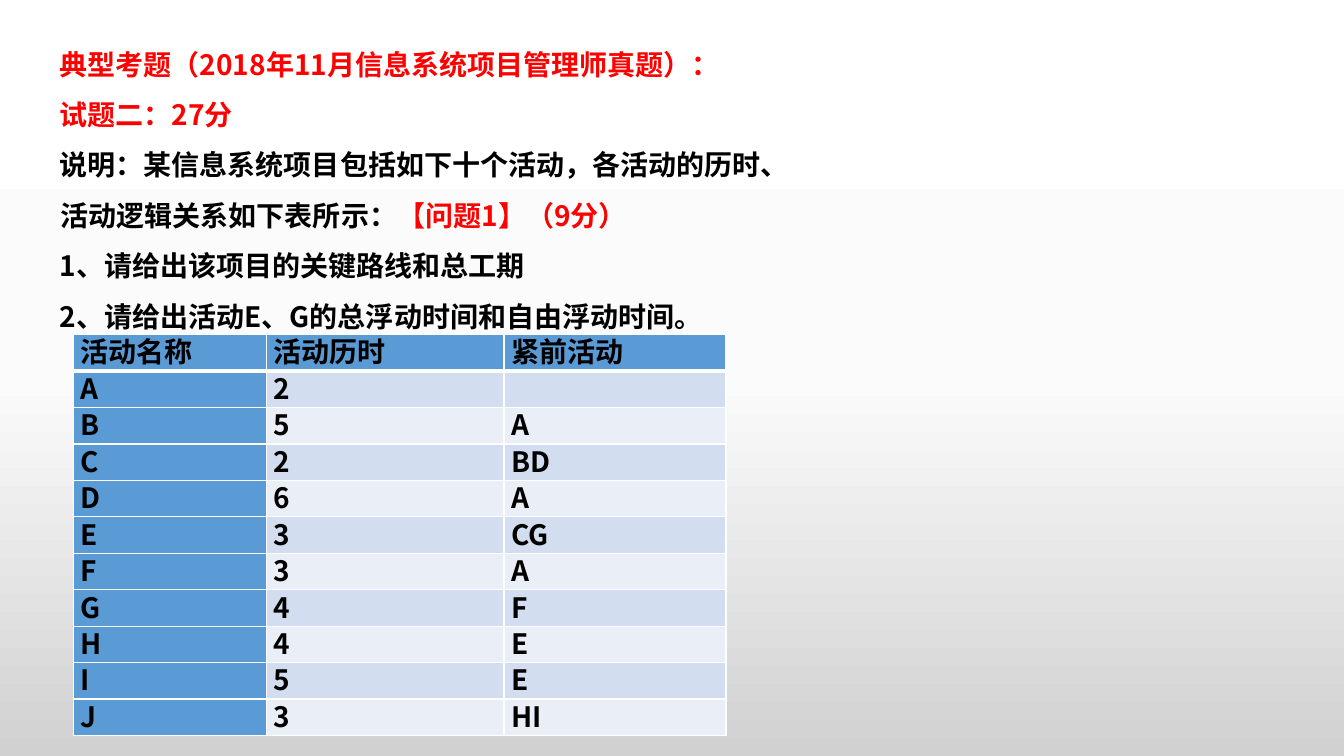
from copy import deepcopy
from typing import NamedTuple

from lxml.etree import SubElement
from pptx import Presentation
from pptx.dml.color import RGBColor
from pptx.enum.text import MSO_ANCHOR, PP_ALIGN
from pptx.oxml.ns import qn
from pptx.util import Inches, Pt

FONT = "Noto Sans CJK SC"
COLORS = {
    "black": "000000", "red": "FF0000", "border": "FFFFFF",
    "header": "5B9BD5", "odd": "D2DEEF", "even": "EAEFF7",
}
BACKGROUND_STOPS = [(0, "FFFFFF"), (0.5, "FBFBFB"), (1, "D1D1D1")]


class Phrase(NamedTuple):
    text: str
    color: str = "black"


class Activity(NamedTuple):
    name: str
    duration: str
    predecessors: str


QUESTION = [
    [Phrase("典型考题（2018年11月信息系统项目管理师真题）：", "red")],
    [Phrase("试题二：27分", "red")],
    [Phrase("说明：某信息系统项目包括如下十个活动，各活动的历时、活动逻辑关系如下表所示："),
     Phrase("【问题1】（9分）", "red")],
    [Phrase("1、请给出该项目的关键路线和总工期")],
    [Phrase("2、请给出活动E、G的总浮动时间和自由浮动时间。")],
]
ACTIVITIES = [
    Activity("活动名称", "活动历时", "紧前活动"),
    Activity("A", "2", ""),
    Activity("B", "5", "A"),
    Activity("C", "2", "BD"),
    Activity("D", "6", "A"),
    Activity("E", "3", "CG"),
    Activity("F", "3", "A"),
    Activity("G", "4", "F"),
    Activity("H", "4", "E"),
    Activity("I", "5", "E"),
    Activity("J", "3", "HI"),
]
COLUMN_WIDTHS = [1.91, 2.36, 2.2]
ROW_HEIGHT = 0.36


def rgb(name: str) -> RGBColor:
    return RGBColor.from_string(COLORS[name])


def write(paragraph, text: str, *, color: str = "black", size: float = 20,
          bold: bool = True) -> None:
    run = paragraph.add_run()
    run.text = text
    font = run.font
    font.name, font.size, font.bold = FONT, Pt(size), bold
    font.color.rgb = rgb(color)
    SubElement(font._element, qn("a:ea"), typeface=FONT)


def paint_background(slide) -> None:
    fill = slide.background.fill
    fill.gradient()
    fill.gradient_angle = 270
    stop_list = fill.gradient_stops[0]._gs.getparent()
    stop_list.append(deepcopy(stop_list[-1]))
    for stop, (position, color) in zip(fill.gradient_stops, BACKGROUND_STOPS):
        stop.position = position
        stop.color.rgb = RGBColor.from_string(color)


def add_question(slide) -> None:
    box = slide.shapes.add_textbox(Inches(0.39), Inches(0.24), Inches(7.65), Inches(3.14))
    frame = box.text_frame
    frame.word_wrap = True
    frame.margin_left = frame.margin_right = Inches(0.11)
    frame.margin_top = frame.margin_bottom = Inches(0.06)
    for index, phrases in enumerate(QUESTION):
        paragraph = frame.add_paragraph() if index else frame.paragraphs[0]
        paragraph.line_spacing = Pt(36)
        properties = paragraph._p.get_or_add_pPr()
        properties.set("marL", str(Inches(0.1)))
        properties.set("indent", str(Inches(-0.01)))
        for phrase in phrases:
            write(paragraph, phrase.text, color=phrase.color)


def set_borders(cell, bottom: float) -> None:
    """Draw white cell borders, 1 pt wide except for the bottom one."""
    properties = cell._tc.get_or_add_tcPr()
    for side, width in (("L", 1), ("R", 1), ("T", 1), ("B", bottom)):
        line = SubElement(properties, qn(f"a:ln{side}"), w=str(Pt(width)))
        fill = SubElement(line, qn("a:solidFill"))
        SubElement(fill, qn("a:srgbClr"), val=COLORS["border"])


def add_activity_table(slide) -> None:
    table = slide.shapes.add_table(
        len(ACTIVITIES), len(COLUMN_WIDTHS), Inches(0.73), Inches(3.32),
        Inches(sum(COLUMN_WIDTHS)), Inches(ROW_HEIGHT * len(ACTIVITIES))).table
    table.first_col = True
    for column, width in zip(table.columns, COLUMN_WIDTHS):
        column.width = Inches(width)
    for row, activity in enumerate(ACTIVITIES):
        table.rows[row].height = Inches(ROW_HEIGHT)
        for column, text in enumerate(activity):
            cell = table.cell(row, column)
            cell.margin_left = cell.margin_right = Inches(0.07)
            cell.margin_top = cell.margin_bottom = 0
            cell.vertical_anchor = MSO_ANCHOR.TOP
            paragraph = cell.text_frame.paragraphs[0]
            paragraph.alignment = PP_ALIGN.JUSTIFY
            paragraph.line_spacing = Pt(26)
            if text:
                write(paragraph, text)
            set_borders(cell, bottom=1 if row else 3)
            cell.fill.solid()
            is_header = row == 0 or column == 0
            cell.fill.fore_color.rgb = rgb(
                "header" if is_header else "odd" if row % 2 else "even")


def main() -> None:
    presentation = Presentation()
    presentation.slide_width, presentation.slide_height = Inches(13.33), Inches(7.5)
    slide = presentation.slides.add_slide(presentation.slide_layouts[6])
    paint_background(slide)
    add_question(slide)
    add_activity_table(slide)
    presentation.save("out.pptx")


if __name__ == "__main__":
    main()
